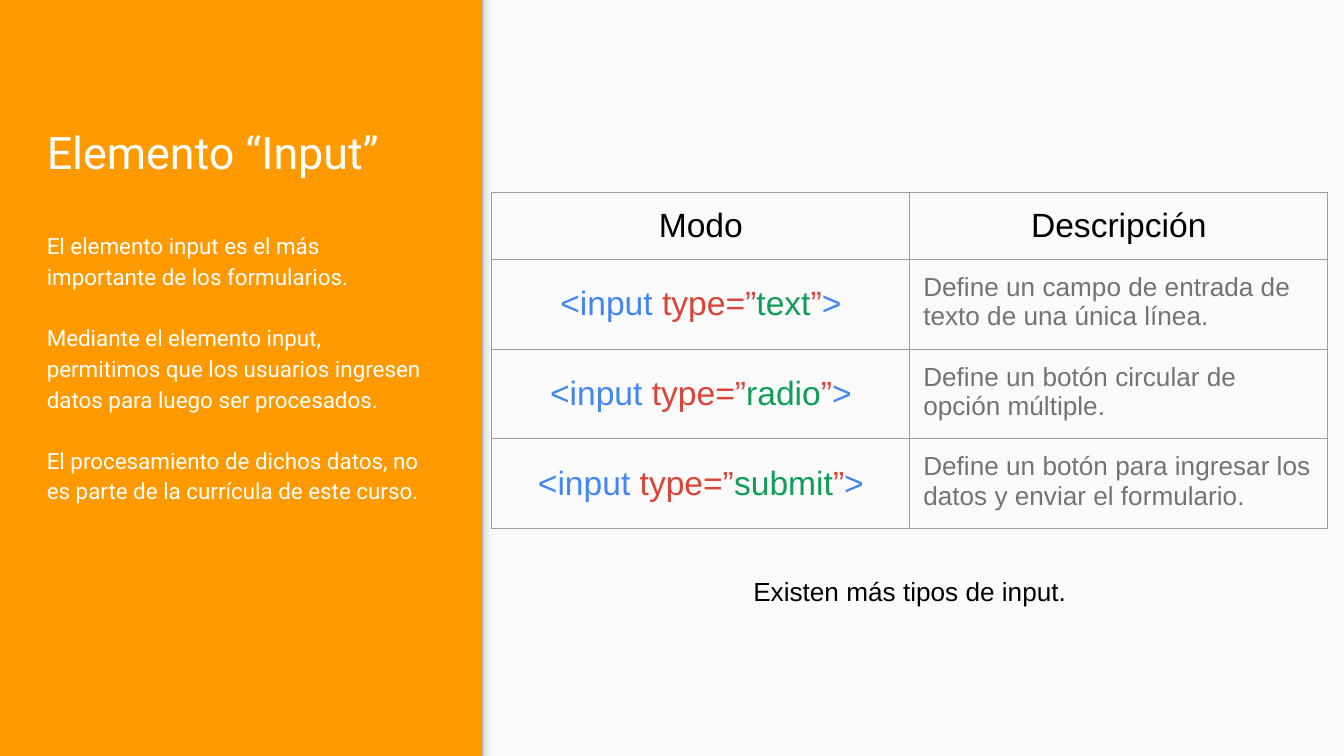
from copy import deepcopy

from lxml import etree
from pptx import Presentation
from pptx.dml.color import RGBColor
from pptx.enum.shapes import MSO_SHAPE
from pptx.enum.text import MSO_ANCHOR, PP_ALIGN
from pptx.oxml.ns import qn
from pptx.util import Inches, Pt

RECT = MSO_SHAPE.RECTANGLE
TOP, MIDDLE, BOTTOM = MSO_ANCHOR.TOP, MSO_ANCHOR.MIDDLE, MSO_ANCHOR.BOTTOM
LEFT, CENTER = PP_ALIGN.LEFT, PP_ALIGN.CENTER

WIDTH = 10
HEIGHT = WIDTH * 9 / 16
ORANGE, PAPER, WHITE, BLACK = "FF9900", "FAFAFA", "FFFFFF", "000000"
BLUE, RED, GREEN = "4285F4", "DB4437", "0F9D58"
GRAY, BORDER = "737373", "9E9E9E"
EDGE_STOPS = [(0, "999999"), (0.2, "DEDEDE"), (0.64, "F9F9F9"), (1, "F9F9F9")]

TITLE = "Elemento “Input”"
BODY = [
    "El elemento input es el más importante de los formularios.",
    "Mediante el elemento input, permitimos que los usuarios ingresen datos para luego ser procesados.",
    "El procesamiento de dichos datos, no es parte de la currícula de este curso.",
]
HEADERS = ["Modo", "Descripción"]
INPUTS = [
    ("text", "Define un campo de entrada de texto de una única línea."),
    ("radio", "Define un botón circular de opción múltiple."),
    ("submit", "Define un botón para ingresar los datos y enviar el formulario."),
]
NOTE = "Existen más tipos de input."

PANEL_X = 3.58
TABLE_X, TABLE_Y, COL_W, ROW_H = 3.66, 1.43, 3.11, 0.33


def rgb(color):
    return RGBColor.from_string(color)


def write(tf, paragraphs, size=18, font="Arial", color=BLACK, align=LEFT, spacing=None, gap=0):
    for i, runs in enumerate(paragraphs):
        p = tf.add_paragraph() if i else tf.paragraphs[0]
        p.alignment = align
        if spacing:
            p.line_spacing = spacing
        if i and gap:
            p.space_before = Pt(gap)
        for text, run_color in [(runs, color)] if isinstance(runs, str) else runs:
            r = p.add_run()
            r.text = text
            r.font.size, r.font.name = Pt(size), font
            r.font.color.rgb = rgb(run_color)


def set_margins(box):
    box.margin_left = box.margin_right = box.margin_top = box.margin_bottom = Inches(0.1)


def add_text(s, x, y, w, h, paragraphs, anchor=TOP, **fmt):
    tf = s.shapes.add_textbox(Inches(x), Inches(y), Inches(w), Inches(h)).text_frame
    tf.word_wrap = True
    tf.vertical_anchor = anchor
    set_margins(tf)
    write(tf, paragraphs, **fmt)


def add_rect(s, x, y, w, h):
    sp = s.shapes.add_shape(RECT, Inches(x), Inches(y), Inches(w), Inches(h))
    sp.shadow.inherit = False
    sp.line.fill.background()
    return sp


def add_edge_shadow(s):
    sp = add_rect(s, PANEL_X, 0, 0.12, HEIGHT)
    sp.fill.gradient()
    sp.fill.gradient_angle = 0
    stops = sp._element.spPr.find(".//" + qn("a:gsLst"))
    while len(stops) < len(EDGE_STOPS):
        stops.append(deepcopy(stops[0]))
    for stop, (position, color) in zip(sp.fill.gradient_stops, EDGE_STOPS):
        stop.position = position
        stop.color.rgb = rgb(color)


def fill_cell(cell, content, anchor=MIDDLE, **fmt):
    cell.vertical_anchor = anchor
    set_margins(cell)
    tcPr = cell._tc.get_or_add_tcPr()
    for side in ("a:lnL", "a:lnR", "a:lnT", "a:lnB"):
        ln = etree.SubElement(tcPr, qn(side), w=str(Pt(0.75)))
        fill = etree.SubElement(ln, qn("a:solidFill"))
        etree.SubElement(fill, qn("a:srgbClr"), val=BORDER)
    cell.fill.background()
    write(cell.text_frame, [content], **fmt)


def add_input_table(s):
    rows = len(INPUTS) + 1
    table = s.shapes.add_table(
        rows, 2, Inches(TABLE_X), Inches(TABLE_Y), Inches(2 * COL_W), Inches(rows * ROW_H)
    ).table
    table.first_row = table.horz_banding = False
    for j, header in enumerate(HEADERS):
        fill_cell(table.cell(0, j), header, align=CENTER)
    for i, (kind, description) in enumerate(INPUTS, 1):
        tag = [("<input ", BLUE), ("type=”", RED), (kind, GREEN), ("”", RED), (">", BLUE)]
        fill_cell(table.cell(i, 0), tag, align=CENTER)
        fill_cell(table.cell(i, 1), description, TOP, size=14, color=GRAY)


def main():
    prs = Presentation()
    prs.slide_width, prs.slide_height = Inches(WIDTH), Inches(HEIGHT)
    s = prs.slides.add_slide(prs.slide_layouts[6])
    s.background.fill.solid()
    s.background.fill.fore_color.rgb = rgb(ORANGE)

    panel = add_rect(s, PANEL_X, 0, WIDTH - PANEL_X, HEIGHT)
    panel.fill.solid()
    panel.fill.fore_color.rgb = rgb(PAPER)
    add_edge_shadow(s)

    add_text(s, 0.25, 0.39, 3.07, 1.04, [TITLE], BOTTOM, size=24, font="Roboto", color=WHITE)
    add_text(s, 0.25, 1.6, 3.07, 3.46, BODY, size=12, font="Roboto", color=WHITE,
             spacing=1.15, gap=16)
    add_input_table(s)
    add_text(s, TABLE_X, 4.13, 2 * COL_W, 0.54, [NOTE], MIDDLE, size=14, align=CENTER)
    prs.save("out.pptx")


if __name__ == "__main__":
    main()
